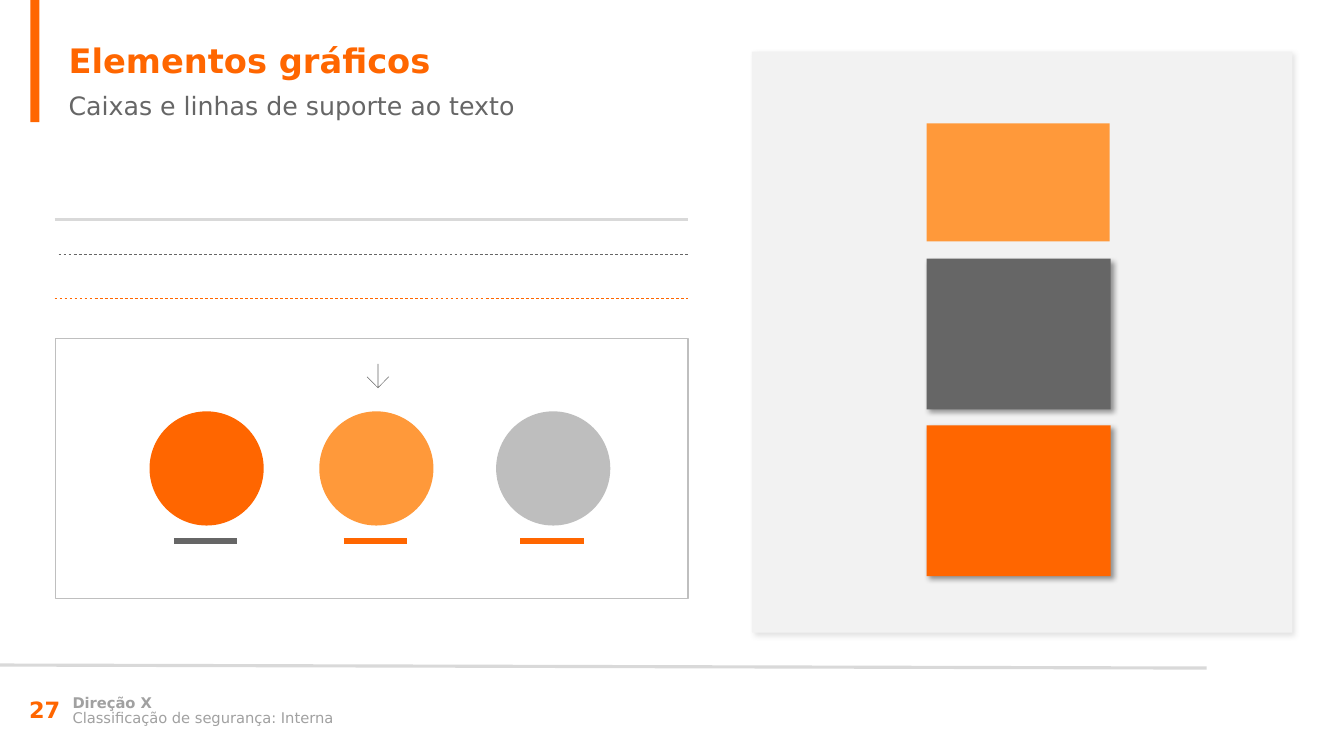
from dataclasses import dataclass

from lxml import etree
from pptx import Presentation
from pptx.dml.color import RGBColor
from pptx.enum import dml, shapes, text
from pptx.oxml import ns
from pptx.util import Inches, Pt


@dataclass(frozen=True)
class Theme:
    font: str = "DejaVu Sans"
    orange: str = "FF6600"
    light_orange: str = "FF993A"
    dark_gray: str = "666666"
    circle_gray: str = "BEBEBE"
    border_gray: str = "BFBFBF"
    rule_gray: str = "D9D9D9"
    panel_gray: str = "F2F2F2"
    footer_gray: str = "A1A1A1"
    black: str = "000000"
    title_size: float = 24
    subtitle_size: float = 18
    number_size: float = 16
    footer_size: float = 10.5


THEME = Theme()


def rgb(color):
    return RGBColor.from_string(color)


def add_node(parent, tag, **values):
    node = etree.SubElement(parent, ns.qn(tag))
    for name, value in values.items():
        node.set(name, str(value))
    return node


def add_shadow(shape, color, opacity):
    """Cast a soft shadow to the lower right; opacity is a percentage."""
    effects = shape._element.spPr.find(ns.qn("a:effectLst"))
    outer = add_node(effects, "a:outerShdw", blurRad=Pt(4), dist=Pt(3),
                     dir=45 * 60000, algn="tl", rotWithShape=0)
    tone = add_node(outer, "a:srgbClr", val=color)
    add_node(tone, "a:alpha", val=opacity * 1000)


def paint(shape, fill=None, border=None):
    shape.shadow.inherit = False
    if fill:
        shape.fill.solid()
        shape.fill.fore_color.rgb = rgb(fill)
    else:
        shape.fill.background()
    if border:
        shape.line.color.rgb = rgb(border)
        shape.line.width = Pt(1)
    else:
        shape.line.fill.background()


def add_block(page, bounds, fill=None, border=None, kind="RECTANGLE"):
    preset = getattr(shapes.MSO_SHAPE, kind)
    block = page.shapes.add_shape(preset, *map(Inches, bounds))
    paint(block, fill, border)
    return block


def add_rule(page, start, end, color, width, dashed=False):
    rule = page.shapes.add_connector(
        shapes.MSO_CONNECTOR.STRAIGHT, *map(Inches, (*start, *end)))
    rule.line.color.rgb = rgb(color)
    rule.line.width = Pt(width)
    if dashed:
        rule.line.dash_style = dml.MSO_LINE.DASH
    add_node(rule._element.spPr, "a:effectLst")


def add_label(page, bounds, wording, size, color, bold=False, middle=False,
              **spacing):
    box = page.shapes.add_textbox(*map(Inches, bounds))
    frame = box.text_frame
    frame.word_wrap = True
    anchors = text.MSO_ANCHOR
    frame.vertical_anchor = anchors.MIDDLE if middle else anchors.TOP
    para = frame.paragraphs[0]
    for name, value in spacing.items():
        setattr(para, name, value)
    span = para.add_run()
    span.text = wording
    formats = {"name": THEME.font, "size": Pt(size), "bold": bold}
    for name, value in formats.items():
        setattr(span.font, name, value)
    span.font.color.rgb = rgb(color)


def add_down_arrow(page, center, top, tip):
    """Draw a thin arrow with an open head as one filled outline."""
    half, reach, edge = 0.004, 0.11, 0.01
    wing = tip - reach
    right = [(half, top), (half, tip - edge), (reach - half, wing - half),
             (reach, wing)]
    left = [(-x, y) for x, y in reversed(right)]
    points = [(Inches(center + x), Inches(y))
              for x, y in right + [(0, tip)] + left]
    builder = page.shapes.build_freeform(*points[0])
    builder.add_line_segments(points[1:], close=True)
    paint(builder.convert_to_shape(), THEME.dark_gray)


def add_header(page):
    add_block(page, (0.3, 0, 0.09, 1.21), THEME.orange)
    add_label(page, (0.58, 0.34, 12.42, 0.5), "Elementos gráficos",
              THEME.title_size, THEME.orange, bold=True)
    add_label(page, (0.58, 0.84, 12.42, 0.4),
              "Caixas e linhas de suporte ao texto",
              THEME.subtitle_size, THEME.dark_gray)


def add_footer(page):
    add_rule(page, (0, 6.58), (11.94, 6.61), THEME.rule_gray, 2.25)
    lines = [("Direção X", 6.84, True),
             ("Classificação de segurança: Interna", 6.99, False)]
    for wording, top, bold in lines:
        add_label(page, (0.62, top, 7.53, 0.25), wording, THEME.footer_size,
                  THEME.footer_gray, bold, middle=True,
                  line_spacing=0.85, space_after=Pt(4))
    add_label(page, (0.19, 6.82, 0.69, 0.4), "27", THEME.number_size,
              THEME.orange, bold=True, middle=True)


def add_line_samples(page):
    samples = [(0.54, 2.17, THEME.rule_gray, 2.25, False),
               (0.58, 2.52, THEME.dark_gray, 0.5, True),
               (0.54, 2.95, THEME.orange, 0.5, True)]
    for left, height, color, width, dashed in samples:
        add_rule(page, (left, height), (6.81, height), color, width, dashed)


def add_circle_samples(page):
    add_block(page, (0.55, 3.35, 6.26, 2.57), border=THEME.border_gray)
    add_down_arrow(page, center=3.74, top=3.6, tip=3.84)
    diameter, dash_inset, dash_length = 1.13, 0.24, 0.63
    circles = [(1.48, THEME.orange, THEME.dark_gray),
               (3.16, THEME.light_orange, THEME.orange),
               (4.91, THEME.circle_gray, THEME.orange)]
    for left, fill, underline in circles:
        add_block(page, (left, 4.07, diameter, diameter), fill, kind="OVAL")
        start = left + dash_inset
        add_rule(page, (start, 5.35), (start + dash_length, 5.35),
                 underline, 4.5)


def add_box_samples(page):
    panel = add_block(page, (7.44, 0.51, 5.35, 5.75), THEME.panel_gray)
    add_shadow(panel, THEME.border_gray, 43)
    add_block(page, (9.17, 1.22, 1.81, 1.17), THEME.light_orange)
    for top, fill in [(2.56, THEME.dark_gray), (4.21, THEME.orange)]:
        box = add_block(page, (9.17, top, 1.82, 1.49), fill)
        add_shadow(box, THEME.black, 40)


def main():
    deck = Presentation()
    deck.slide_width, deck.slide_height = Inches(13.3), Inches(7.48)
    page = deck.slides.add_slide(deck.slide_layouts[6])
    add_header(page)
    add_footer(page)
    add_line_samples(page)
    add_circle_samples(page)
    add_box_samples(page)
    deck.save("out.pptx")


if __name__ == "__main__":
    main()
